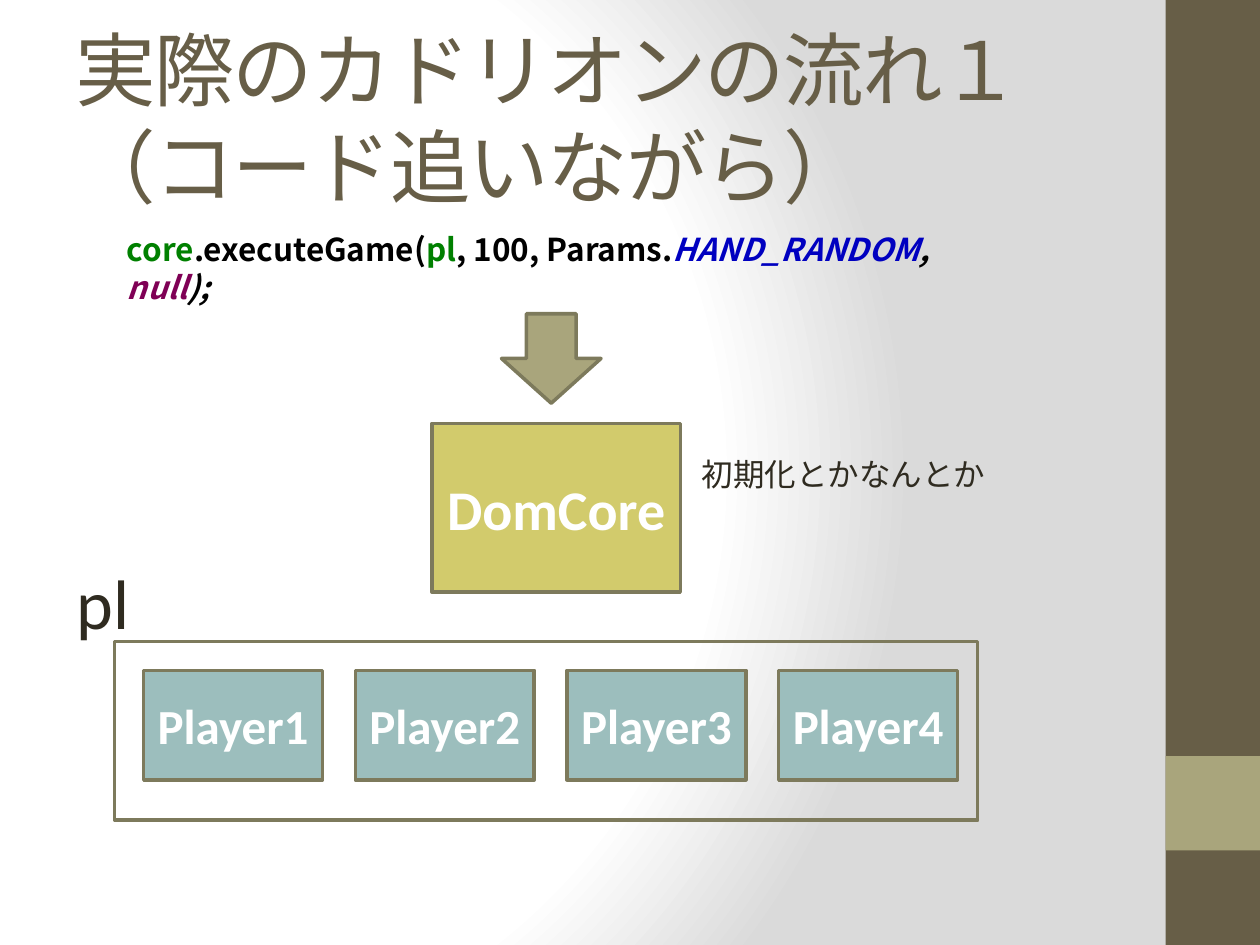
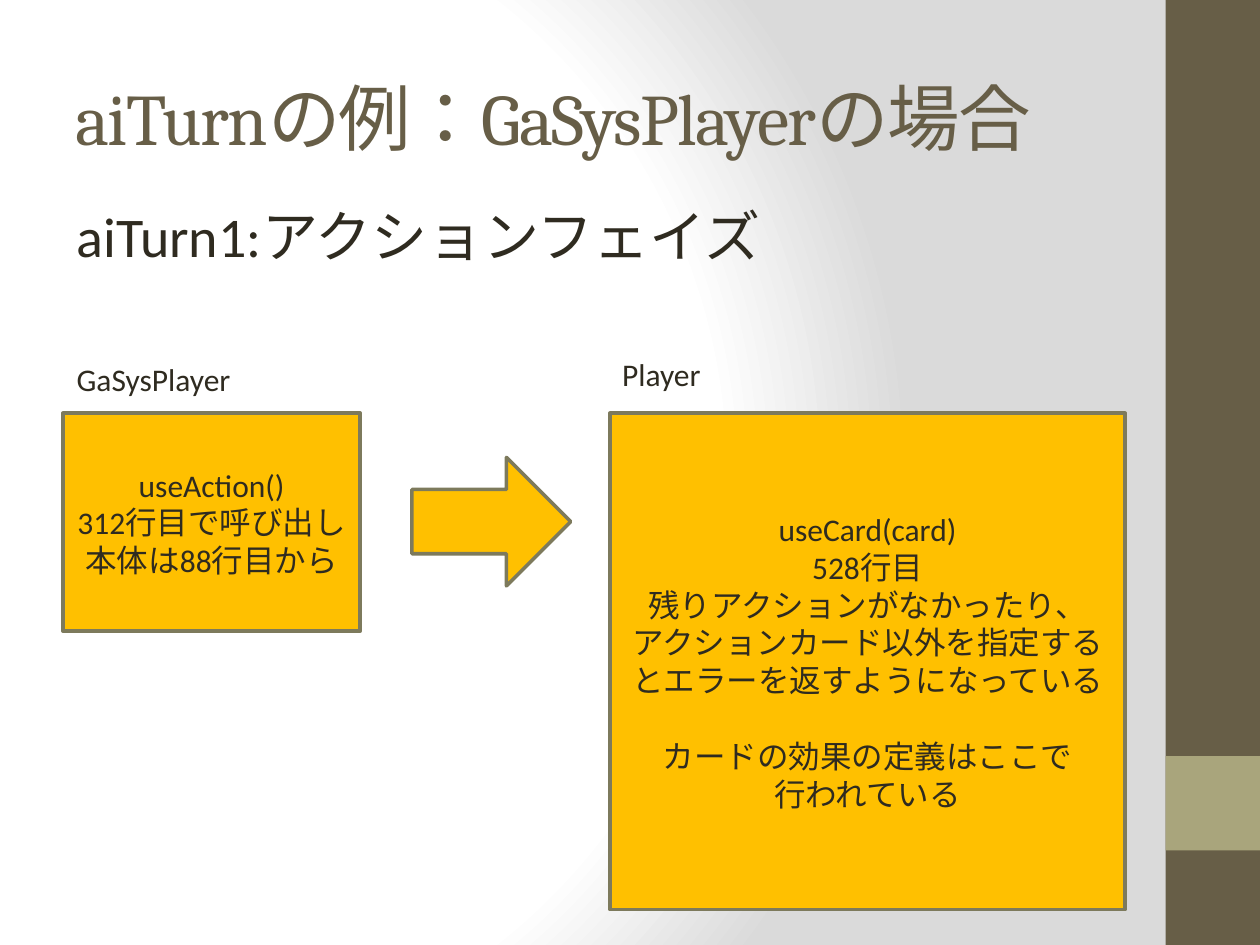
from lxml import etree
from pptx import Presentation, oxml
from pptx import util as u
from pptx.dml import color
from pptx.enum import lang, shapes, text
from pptx.oxml import ns

BROWN = "675E47"
SAGE = "A9A57C"
OUTLINE = "7D7A5C"
INK = "2F2B20"
WHITE = "FFFFFF"
OLIVE = "D2CB6C"
TEAL = "9CBEBD"
AMBER = "FFC000"
BLACK = "000000"
GREEN = "008000"
BLUE = "0000C0"
PURPLE = "7F0055"
BODY_FONT = "Calibri"
TITLE_FONT = "Cambria"
CODE_FONT = "Noto Sans CJK JP"

BACKGROUND = f"""<a:gradFill rotWithShape="1" {ns.nsdecls("a")}>
  <a:gsLst>
    <a:gs pos="0"><a:srgbClr val="FFFFFF"/></a:gs>
    <a:gs pos="75000"><a:srgbClr val="FFFFFF"/></a:gs>
    <a:gs pos="100000"><a:srgbClr val="DADADA"/></a:gs>
  </a:gsLst>
  <a:path path="circle"><a:fillToRect l="20000" t="50000" r="100000" b="50000"/></a:path>
</a:gradFill>"""


def rgb(value):
    return color.RGBColor.from_string(value)


def place(left, top, width, height):
    return [u.Inches(length) for length in (left, top, width, height)]


def format_run(run, size, hex_color, font=BODY_FONT, bold=False, italic=False):
    run.font.name = font
    run.font.size = u.Pt(size)
    run.font.color.rgb = rgb(hex_color)
    run.font.bold = bold
    run.font.italic = italic
    run.font.language_id = lang.MSO_LANGUAGE_ID.JAPANESE


def write_lines(shape, lines, size, hex_color, align, **style):
    shape.text_frame.word_wrap = True
    shape.text_frame.text = lines
    for paragraph in shape.text_frame.paragraphs:
        paragraph.alignment = align
        for run in paragraph.runs:
            format_run(run, size, hex_color, **style)


def add_label(slide, box, lines, size=18, **style):
    label = slide.shapes.add_textbox(*place(*box))
    style = {"hex_color": INK, "align": text.PP_ALIGN.LEFT, **style}
    write_lines(label, lines, size, **style)
    return label


def add_block(slide, box, fill=None, outline=OUTLINE, kind=shapes.MSO_SHAPE.RECTANGLE):
    block = slide.shapes.add_shape(kind, *place(*box))
    block.shadow.inherit = False
    if fill:
        block.fill.solid()
        block.fill.fore_color.rgb = rgb(fill)
    else:
        block.fill.background()
    if outline:
        block.line.color.rgb = rgb(outline)
        block.line.width = u.Pt(2)
    else:
        block.line.fill.background()
    return block


def add_text_block(slide, box, fill, lines, size=18, hex_color=INK, bold=False):
    block = add_block(slide, box, fill)
    block.text_frame.vertical_anchor = text.MSO_ANCHOR.MIDDLE
    write_lines(block, lines, size, hex_color, text.PP_ALIGN.CENTER, bold=bold)
    return block


def add_title(slide, title, size):
    label = add_label(slide, (0.5, 0.3, 8.33, 1.25), title, size, hex_color=BROWN, font=TITLE_FONT)
    label.text_frame.vertical_anchor = text.MSO_ANCHOR.MIDDLE
    for paragraph in label.text_frame.paragraphs:
        for run in paragraph.runs:
            run.font._element.set("spc", "-100")


def add_code(slide, box, pieces):
    label = slide.shapes.add_textbox(*place(*box))
    label.text_frame.word_wrap = True
    paragraph = label.text_frame.paragraphs[0]
    for words, hex_color, italic in pieces:
        run = paragraph.add_run()
        run.text = words
        format_run(run, 18, hex_color, CODE_FONT, True, italic)


def set_background(master):
    master.background.fill.solid()
    solid = master._element.find(".//" + ns.qn("p:bgPr")).find(ns.qn("a:solidFill"))
    solid.getparent().replace(solid, oxml.parse_xml(etree.tostring(etree.fromstring(BACKGROUND))))


def add_slide(presentation, title, title_size):
    slide = presentation.slides.add_slide(presentation.slide_layouts[6])
    add_block(slide, (9.25, 0, 0.75, 7.5), BROWN, None)
    add_block(slide, (9.25, 6, 0.75, 0.75), SAGE, None)
    add_title(slide, title, title_size)
    return slide


def build_game_flow(presentation):
    slide = add_slide(presentation, "実際のカドリオンの流れ１\n（コード追いながら）", 46)
    add_text_block(slide, (3.43, 3.36, 1.97, 1.34), OLIVE, "DomCore", 32, WHITE, True)
    add_block(slide, (0.91, 5.09, 6.85, 1.42))
    for index in range(4):
        box = (1.14 + 1.68 * index, 5.32, 1.42, 0.87)
        add_text_block(slide, box, TEAL, f"Player{index + 1}", 28, WHITE, True)
    add_code(slide, (0.91, 1.78, 6.93, 0.71), [
        ("core", GREEN, False),
        (".executeGame(", BLACK, False),
        ("pl", GREEN, False),
        (", 100, Params.", BLACK, False),
        ("HAND_RANDOM", BLUE, True),
        (", ", BLACK, True),
        ("null", PURPLE, True),
        (");", BLACK, True),
    ])
    add_label(slide, (0.51, 4.39, 0.87, 0.77), "pl", 40)
    add_block(slide, (3.98, 2.49, 0.79, 0.71), SAGE, kind=shapes.MSO_SHAPE.DOWN_ARROW)
    add_label(slide, (5.47, 3.56, 2.83, 0.4), "初期化とかなんとか")


def build_action_phase(presentation):
    slide = add_slide(presentation, "aiTurnの例：GaSysPlayerの場合", 41.4)
    add_label(slide, (0.51, 1.55, 7.24, 0.64), "aiTurn1:アクションフェイズ", 32)
    add_text_block(slide, (0.5, 3.28, 2.36, 1.73), AMBER,
                   "useAction()\n312行目で呼び出し\n本体は88行目から")
    add_label(slide, (0.51, 2.81, 2.2, 0.4), "GaSysPlayer")
    add_block(slide, (3.27, 3.63, 1.26, 1.02), AMBER, kind=shapes.MSO_SHAPE.RIGHT_ARROW)
    use_card = add_text_block(
        slide, (4.84, 3.28, 4.09, 3.94), AMBER,
        "useCard(card)\n528行目\n残りアクションがなかったり、\n"
        "アクションカード以外を指定するとエラーを返すようになっている\n"
        "カードの効果の定義はここで\n行われている")
    use_card.text_frame.paragraphs[4].space_before = u.Pt(22)
    add_label(slide, (4.84, 2.77, 2.2, 0.4), "Player")


def main():
    presentation = Presentation()
    presentation.slide_width = u.Inches(10)
    presentation.slide_height = u.Inches(7.5)
    set_background(presentation.slide_master)
    build_game_flow(presentation)
    build_action_phase(presentation)
    presentation.save("out.pptx")


if __name__ == "__main__":
    main()
